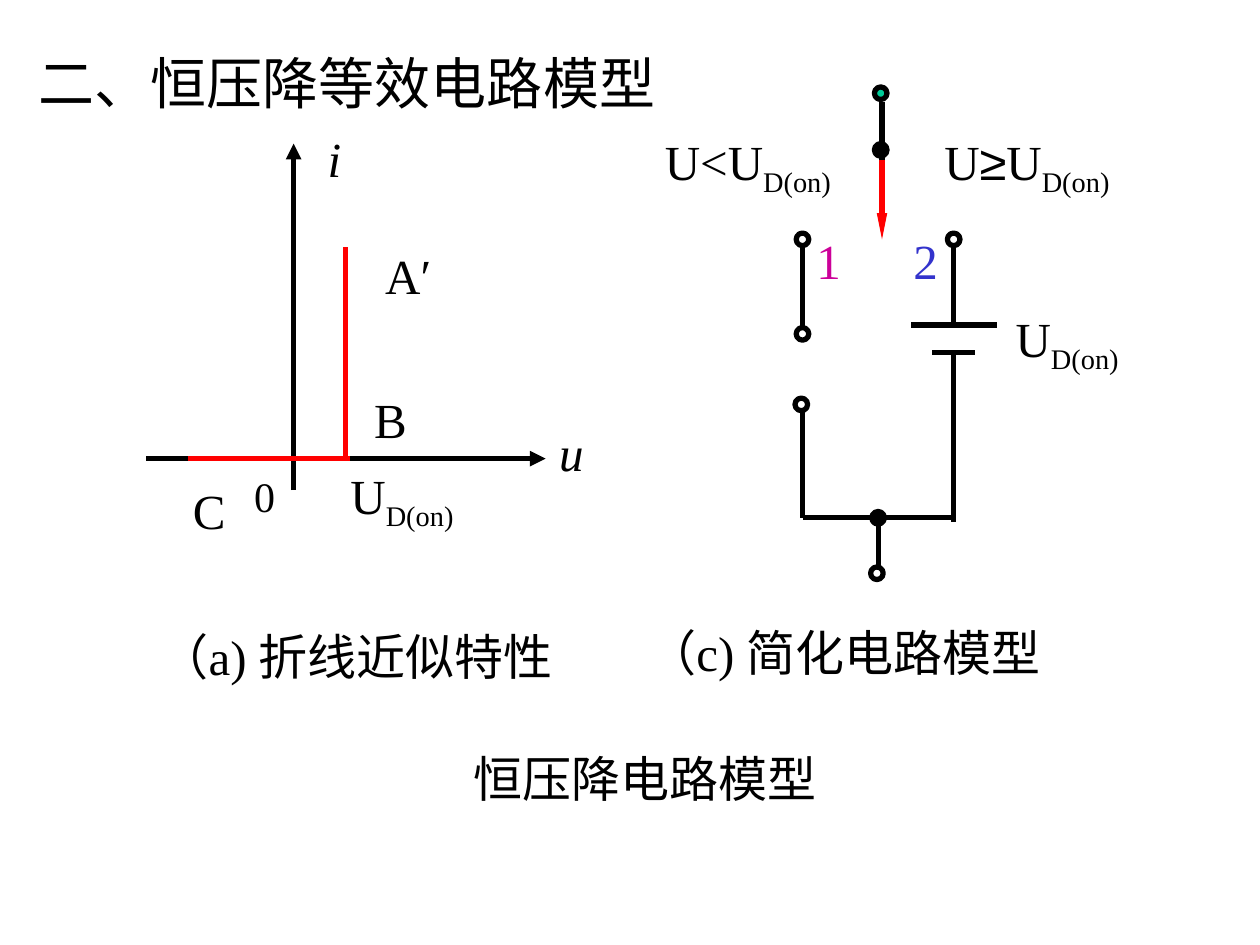
import lxml.etree
import pptx
import pptx.dml.color
import pptx.enum.shapes
import pptx.enum.text
import pptx.oxml.ns
import pptx.util

Pt = pptx.util.Pt
COLORS = {"black": "000000", "red": "FF0000", "magenta": "CC0099", "blue": "3333CC", "green": "00CC99"}
SERIF = "Times New Roman"
LEFT = pptx.enum.text.PP_ALIGN.LEFT
CENTER = pptx.enum.text.PP_ALIGN.CENTER
THRESHOLD = [("U", {}), ("D(on)", {"sub": True})]


def add_text(shapes, left, top, width, height, runs, size=28, align=CENTER, wrap=False):
    box = shapes.add_textbox(Pt(left), Pt(top), Pt(width), Pt(height))
    frame = box.text_frame
    frame.word_wrap = wrap
    frame.auto_size = pptx.enum.text.MSO_AUTO_SIZE.SHAPE_TO_FIT_TEXT
    frame.vertical_anchor = pptx.enum.text.MSO_ANCHOR.MIDDLE
    para = frame.paragraphs[0]
    para.alignment = align
    for text, style in runs:
        span = para.add_run()
        span.text = text
        span.font.size = Pt(size)
        span.font.name = style.get("font", SERIF)
        span.font.italic = style.get("italic", False)
        color = COLORS[style.get("color", "black")]
        span.font.color.rgb = pptx.dml.color.RGBColor.from_string(color)
        if style.get("sub"):
            span.font._element.set("baseline", "-25000")


def add_line(shapes, x1, y1, x2, y2, color="black", head=None):
    line = shapes.add_connector(
        pptx.enum.shapes.MSO_CONNECTOR.STRAIGHT, Pt(x1), Pt(y1), Pt(x2), Pt(y2))
    line.line.width = Pt(3)
    line.line.color.rgb = pptx.dml.color.RGBColor.from_string(COLORS[color])
    if head:
        width, length = head
        lxml.etree.SubElement(line.line._get_or_add_ln(), pptx.oxml.ns.qn("a:tailEnd"),
                              type="triangle", w=width, len=length)
    lxml.etree.SubElement(line._element.spPr, pptx.oxml.ns.qn("a:effectLst"))


deck = pptx.Presentation()
deck.slide_width, deck.slide_height = Pt(720), Pt(540)
page = deck.slides.add_slide(deck.slide_layouts[6])

add_text(page.shapes, 263.5, 424, 210, 41, [("恒压降电路模型", {})])

graph = page.shapes.add_group_shape().shapes
axis_y, knee_x = 262.1, 197.3
for line in [
    (83.5, axis_y, 311.8, axis_y, "black", ("med", "med")),
    (167.8, 280.1, 167.8, 82.1, "black", ("med", "med")),
    (107.3, axis_y, 200.2, axis_y, "red"),
    (knee_x, axis_y, knee_x, 141.1, "red"),
]:
    add_line(graph, *line)

for label in [
    (180, 69.8, 22.3, 41, [("i", {"italic": True})]),
    (210.1, 136.8, 46.3, 41, [("A′", {})]),
    (312.5, 237.6, 28, 41, [("u", {"italic": True})]),
    (206.6, 218.9, 33, 41, [("B", {})]),
    (191, 262.4, 77.4, 45.4, THRESHOLD),
    (103, 270.7, 33, 41, [("C", {})]),
    (138.2, 265, 26, 36, [("0", {})], 24),
    (80.2, 354.2, 278, 41, [("（a) 折线近似特性", {})], 28, LEFT),
]:
    if label[-1] == LEFT:
        label = (84.2,) + label[1:]
    add_text(graph, *label)

circuit = page.shapes.add_group_shape().shapes
open_x, cell_x, bottom_x, switch_x = 458.6, 545, 501.8, 504
contact_y, plate_y, bus_y = 141.1, 185.8, 295.9
for line in [
    (open_x, contact_y, open_x, 187.9),
    (520.6, plate_y, 569.5, plate_y),
    (532.8, 201.6, 557.3, 201.6),
    (cell_x, plate_y, cell_x, contact_y),
    (open_x, 235.4, open_x, bus_y),
    (cell_x, 298.1, cell_x, 202.3),
    (cell_x, bus_y, open_x, bus_y),
    (bottom_x, bus_y, bottom_x, 324),
    (switch_x, 58.3, switch_x, 94.3),
    (switch_x, 91.4, switch_x, 136.8, "red", ("sm", "lg")),
]:
    add_line(circuit, *line)

for label in [
    (370, 71.3, 114.7, 45.4, [("U<U", {}), THRESHOLD[1]]),
    (527.2, 71.3, 119.2, 45.4, [("U", {}), ("≥", {"font": "Arial"})] + THRESHOLD),
    (459.4, 128.2, 28, 41, [("1", {"color": "magenta"})]),
    (514.8, 128.2, 28, 41, [("2", {"color": "blue"})]),
    (571.1, 172.8, 77.4, 45.4, THRESHOLD),
    (362.9, 352.1, 278, 41, [("（c) 简化电路模型", {})], 28, LEFT),
]:
    add_text(circuit, *label)

for left, top, fill in [
    (455, 187.2, None),
    (454.3, 227.5, None),
    (455, 133.2, None),
    (497.5, 324, None),
    (541.4, 133.2, None),
    (499.7, 49.7, "green"),
    (499.7, 82.1, "black"),
    (498.2, 292.3, "black"),
]:
    node = circuit.add_shape(
        pptx.enum.shapes.MSO_SHAPE.OVAL, Pt(left), Pt(top), Pt(7.2), Pt(7.2))
    node.shadow.inherit = False
    node.line.width = Pt(3)
    node.line.color.rgb = pptx.dml.color.RGBColor.from_string(COLORS["black"])
    if fill:
        node.fill.solid()
        node.fill.fore_color.rgb = pptx.dml.color.RGBColor.from_string(COLORS[fill])
    else:
        node.fill.background()

add_text(page.shapes, 15.1, 23.8, 483, 46, [("二、恒压降等效电路模型", {})], 32, LEFT, True)

deck.save("out.pptx")
